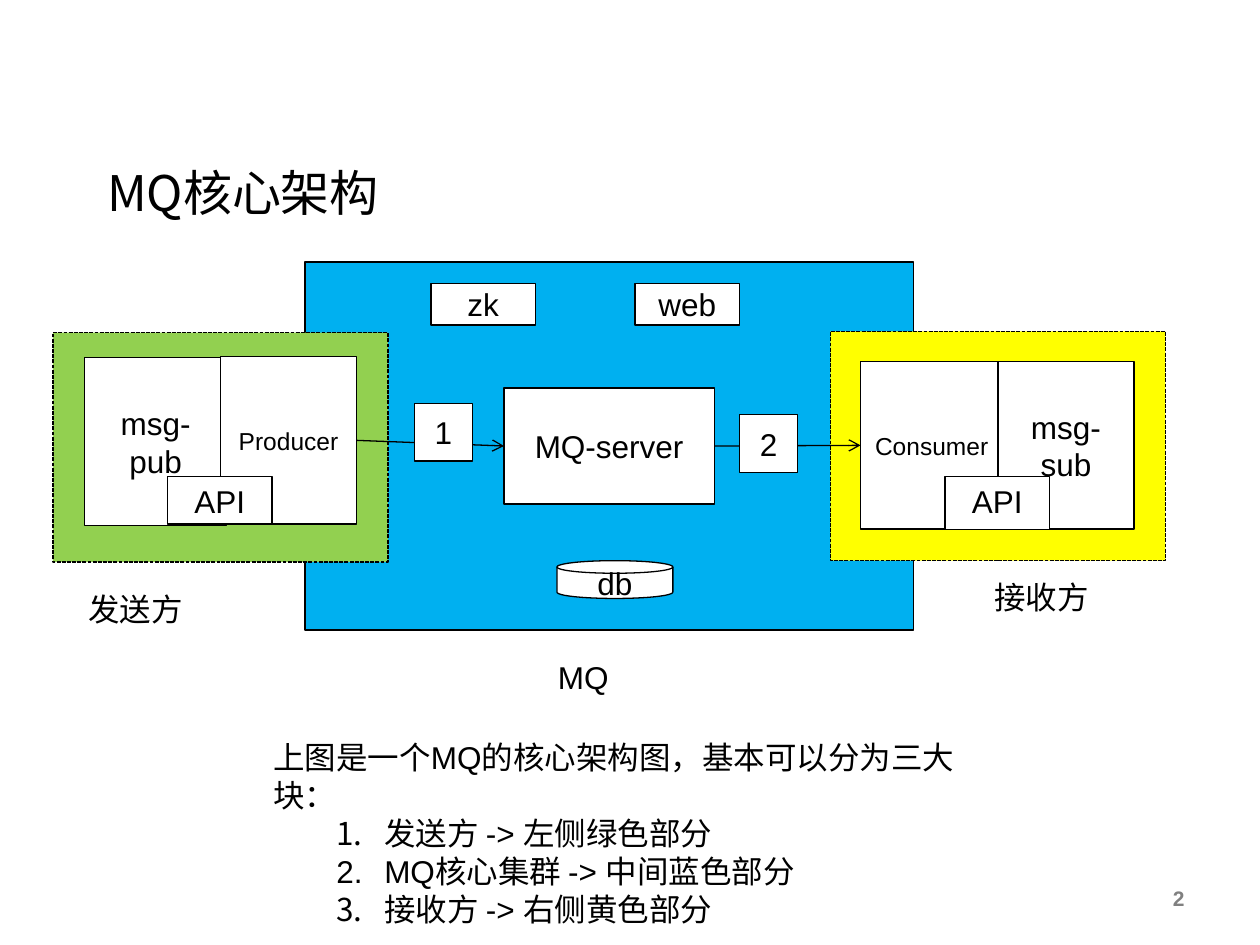
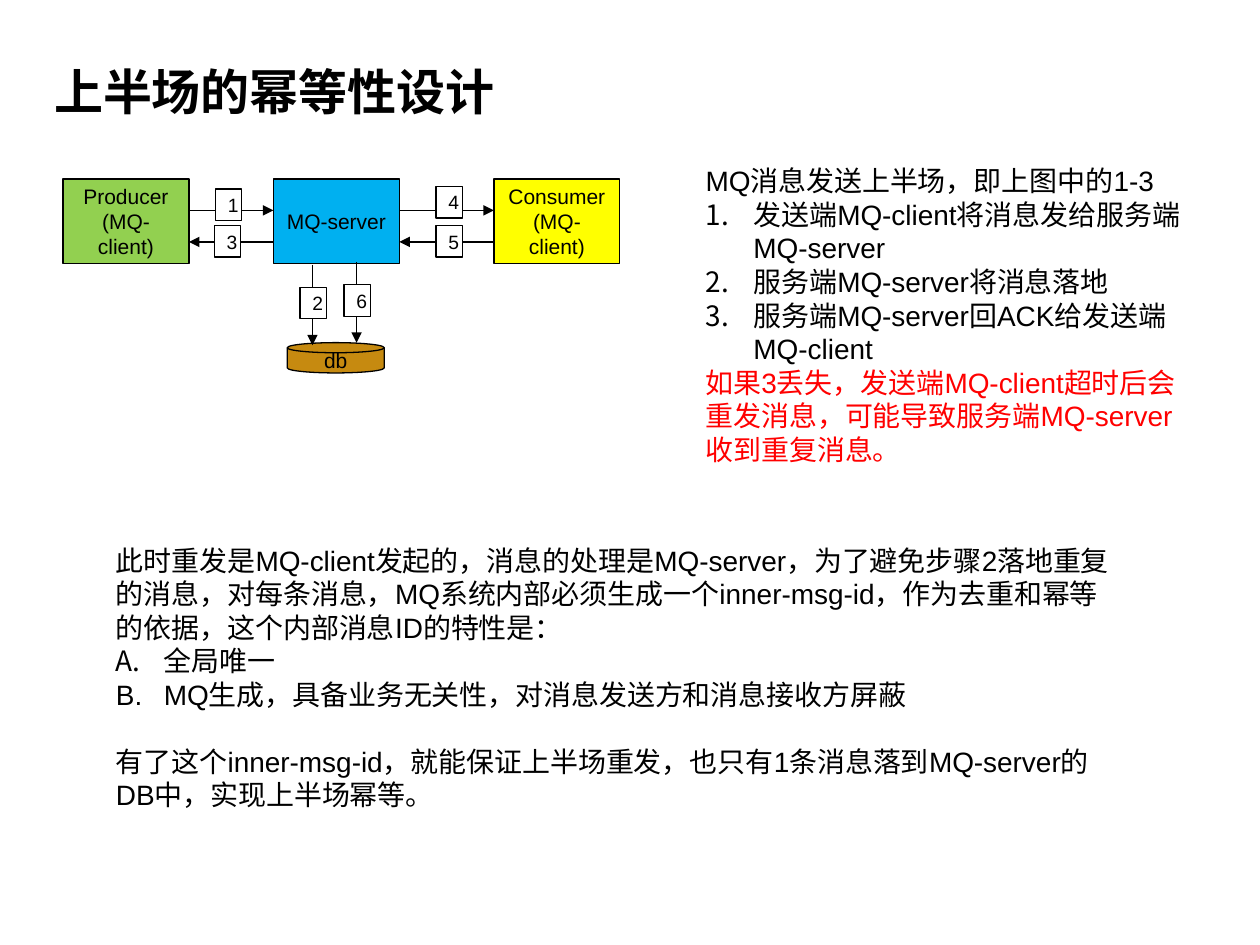
from lxml.etree import SubElement
from pptx import Presentation
from pptx.dml.color import RGBColor
from pptx.enum.dml import MSO_LINE
from pptx.enum.shapes import MSO_CONNECTOR, MSO_SHAPE
from pptx.enum.text import MSO_ANCHOR, MSO_AUTO_SIZE, PP_ALIGN
from pptx.oxml.ns import qn
from pptx.util import Inches, Pt


class Theme:
    black = RGBColor.from_string("000000")
    white = RGBColor.from_string("FFFFFF")
    gray = RGBColor.from_string("808080")
    red = RGBColor.from_string("FF0000")
    blue = RGBColor.from_string("00B0F0")
    green = RGBColor.from_string("92D050")
    yellow = RGBColor.from_string("FFFF00")
    brown = RGBColor.from_string("C68A10")
    latin = "Arial"
    asian = "Noto Sans CJK SC"
    title = 28
    large = 18
    text = 16
    mid = 14
    small = 12
    tag = 11
    line = Pt(0.75)


RECT = MSO_SHAPE.RECTANGLE
DISK = MSO_SHAPE.FLOWCHART_MAGNETIC_DISK


def write(shape, text, size, align=PP_ALIGN.CENTER, color=Theme.black,
          font=Theme.latin, bold=False):
    """Set the text of a shape, one paragraph a line, and format its runs."""
    shape.text_frame.text = text
    for para in shape.text_frame.paragraphs:
        para.alignment = align
        for run in para.runs:
            run.font.size = Pt(size)
            run.font.bold = bold
            run.font.color.rgb = color
            run.font.name = font
            SubElement(run.font._element, qn("a:ea"), typeface=Theme.asian)


def box(slide, at, text="", size=Theme.large, fill=Theme.white, kind=RECT):
    """Draw an outlined shape with centred text."""
    shape = slide.shapes.add_shape(kind, *map(Inches, at))
    shape.shadow.inherit = False
    shape.fill.solid()
    shape.fill.fore_color.rgb = fill
    shape.line.color.rgb = Theme.black
    shape.line.width = Theme.line
    shape.text_frame.vertical_anchor = MSO_ANCHOR.MIDDLE
    write(shape, text, size)
    return shape


deck = Presentation()
deck.slide_width, deck.slide_height = Inches(10), Inches(7.5)
core = deck.slides.add_slide(deck.slide_layouts[1])
half = deck.slides.add_slide(deck.slide_layouts[3])

# Titles
for slide, left, top, text, bold in [
    (core, 0.75, 1.21, "MQ核心架构", False),
    (half, 0.33, 0.41, "上半场的幂等性设计", True),
]:
    title = slide.shapes.title
    title.left, title.top = Inches(left), Inches(top)
    title.width, title.height = Inches(8.75), Inches(0.62)
    title.text_frame.auto_size = MSO_AUTO_SIZE.NONE
    title.text_frame.vertical_anchor = MSO_ANCHOR.MIDDLE
    write(title, text, Theme.title, PP_ALIGN.LEFT, font=Theme.asian, bold=bold)

# Core architecture: cluster in the middle, sender and receiver over its sides
box(core, (2.42, 2.08, 4.83, 2.92), fill=Theme.blue)
server = box(core, (4, 3.08, 1.67, 0.92), "MQ-server")
for left, top, fill in [(0.42, 2.64, Theme.green), (6.59, 2.63, Theme.yellow)]:
    zone = box(core, (left, top, 2.66, 1.82), fill=fill)
    zone.line.dash_style = MSO_LINE.SQUARE_DOT
box(core, (0.67, 2.84, 1.13, 1.33), "msg-pub")
maker = box(core, (1.75, 2.83, 1.08, 1.33), "Producer", Theme.mid)
taker = box(core, (6.83, 2.87, 1.13, 1.33), "Consumer", Theme.mid)
box(core, (7.92, 2.87, 1.08, 1.33), "msg-sub")
for left, high in [(1.33, 0.38), (7.5, 0.42)]:
    api = box(core, (left, 3.78, 0.83, high), "API")
    api.text_frame.vertical_anchor = MSO_ANCHOR.TOP
for left, text in [(3.42, "zk"), (5.04, "web")]:
    box(core, (left, 2.25, 0.83, 0.33), text)
box(core, (4.42, 4.45, 0.92, 0.3), "db", kind=DISK)

for left, top, width, text in [
    (0.6, 4.63, 0.95, "发送方"),
    (7.79, 4.54, 0.95, "接收方"),
    (4.33, 5.17, 0.6, "MQ"),
]:
    label = core.shapes.add_textbox(*map(Inches, (left, top, width, 0.4)))
    label.text_frame.word_wrap = False
    write(label, text, Theme.large)

page = core.shapes.add_textbox(*map(Inches, (9, 6.98, 0.5, 0.52)))
page.text_frame.word_wrap = True
write(page, "2", Theme.small, PP_ALIGN.RIGHT, Theme.gray, bold=True)

# Message flow of the first half
for left, text, fill in [
    (0.5, "Producer\n(MQ-client)", Theme.green),
    (2.17, "MQ-server", Theme.blue),
    (3.92, "Consumer\n(MQ-client)", Theme.yellow),
]:
    box(half, (left, 1.42, 1, 0.67), text, Theme.small, fill)
box(half, (2.28, 2.72, 0.77, 0.24), "db", Theme.small, Theme.brown, DISK)

# Arrows, with the shapes they join where they meet a side's middle
for slide, ends, head, joined in [
    (core, (2.83, 3.5, 4, 3.54), "arrow", (maker, server)),
    (core, (5.67, 3.54, 6.83, 3.53), "arrow", (server, taker)),
    (half, (1.5, 1.67, 2.17, 1.67), "triangle", None),
    (half, (2.17, 1.92, 1.5, 1.92), "triangle", None),
    (half, (3.17, 1.67, 3.92, 1.67), "triangle", None),
    (half, (3.92, 1.92, 3.17, 1.92), "triangle", None),
    (half, (2.48, 2.1, 2.48, 2.74), "triangle", None),
    (half, (2.83, 2.08, 2.83, 2.72), "triangle", None),
]:
    link = slide.shapes.add_connector(MSO_CONNECTOR.STRAIGHT, *map(Inches, ends))
    if joined:
        link.begin_connect(joined[0], 3)
        link.end_connect(joined[1], 1)
    link.line.color.rgb = Theme.black
    link.line.width = Theme.line
    props = link.element.spPr
    SubElement(props.find(qn("a:ln")), qn("a:tailEnd"), type=head)
    SubElement(props, qn("a:effectLst"))

# Step numbers on the arrows
for left, top, step in [(3.29, 3.2, "1"), (5.87, 3.29, "2")]:
    box(core, (left, top, 0.46, 0.46), step)
for left, top, step in [
    (1.71, 1.5, "1"), (2.38, 2.28, "2"), (1.7, 1.79, "3"),
    (3.46, 1.48, "4"), (3.46, 1.79, "5"), (2.73, 2.26, "6"),
]:
    box(half, (left, top, 0.21, 0.25), step, Theme.tag)

# Lists: text, and which of its paragraphs are numbered
parts = """上图是一个MQ的核心架构图，基本可以分为三大块：
发送方 -> 左侧绿色部分
MQ核心集群 -> 中间蓝色部分
接收方 -> 右侧黄色部分"""
steps = """MQ消息发送上半场，即上图中的1-3
发送端MQ-client将消息发给服务端MQ-server
服务端MQ-server将消息落地
服务端MQ-server回ACK给发送端MQ-client
如果3丢失，发送端MQ-client超时后会重发消息，可能导致服务端MQ-server收到重复消息。"""
traits = """此时重发是MQ-client发起的，消息的处理是MQ-server，为了避免步骤2落地重复的消息，\
对每条消息，MQ系统内部必须生成一个inner-msg-id，作为去重和幂等的依据，这个内部消息ID的特性是：
全局唯一
MQ生成，具备业务无关性，对消息发送方和消息接收方屏蔽
有了这个inner-msg-id，就能保证上半场重发，也只有1条消息落到MQ-server的DB中，实现上半场幂等。"""

for body, at, text, size, items, style, margin in [
    (core.placeholders[1], (2.07, 5.81, 6.1, 1.61), parts, Theme.large,
     (1, 2, 3), "arabicPeriod", 0.88),
    (half.placeholders[1], (5.5, 1.25, 4.08, 2.52), steps, Theme.text,
     (1, 2, 3), "arabicPeriod", 0.38),
    (half.placeholders[2], (0.82, 4.26, 8.18, 2.26), traits, Theme.text,
     (1, 2), "alphaUcPeriod", 0.38),
]:
    body.left, body.top, body.width, body.height = map(Inches, at)
    body.text_frame.word_wrap = True
    body.text_frame.auto_size = MSO_AUTO_SIZE.NONE
    write(body, text, size, PP_ALIGN.LEFT)
    for index, para in enumerate(body.text_frame.paragraphs):
        para.space_before = Pt(0)
        props = para._p.get_or_add_pPr()
        listed = index in items
        props.set("marL", str(Inches(margin if listed else 0)))
        props.set("indent", str(Inches(-0.38 if listed else 0)))
        if listed:
            SubElement(props, qn("a:buFont"), typeface=Theme.latin)
            SubElement(props, qn("a:buAutoNum"), type=style)
        else:
            SubElement(props, qn("a:buNone"))

core.placeholders[1].text_frame.margin_right = Inches(0.4)
half.placeholders[1].text_frame.paragraphs[-1].runs[0].font.color.rgb = Theme.red
half.placeholders[2].text_frame.paragraphs[-1].space_before = Pt(19)

deck.save("out.pptx")
